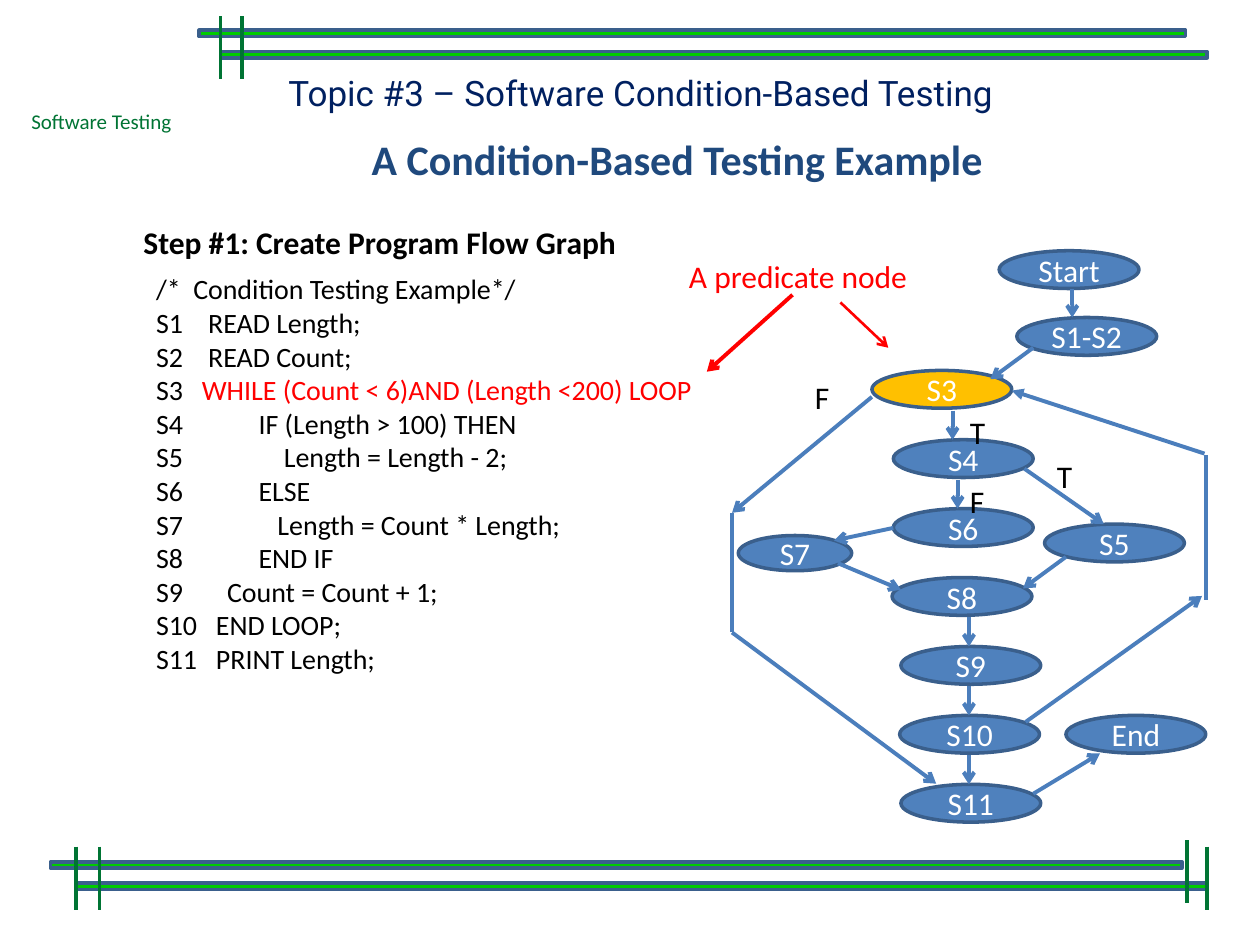
from lxml import etree
from pptx import Presentation
from pptx import util as u
from pptx.dml.color import RGBColor
from pptx.enum import shapes, text
from pptx.oxml import ns

COLUMNS, ROWS = 100, 75
WIDTH, HEIGHT = u.Inches(10), u.Inches(7.5)
GREEN, BAR_GREEN, OUTLINE = "007434", "00CC00", "3A5F8C"
NODE_BLUE, GOLD, FLOW_BLUE = "4F81BD", "FFC000", "4B7EBC"
RED, BLACK, WHITE, NAVY, HEADING = "FF0000", "000000", "FFFFFF", "002060", "1F497D"
NODE_WIDTH, NODE_HEIGHT, ARROW_DROP = 11.1, 3, 2.3

CODE = [
    "/*  Condition Testing Example*/",
    "S1    READ Length;",
    "S2    READ Count;",
    "S3   |WHILE (Count < 6)AND (Length <200) LOOP",
    "S4            IF (Length > 100) THEN",
    "S5                Length = Length - 2;",
    "S6            ELSE",
    "S7               Length = Count * Length;",
    "S8            END IF",
    "S9       Count = Count + 1;",
    "S10   END LOOP;",
    "S11   PRINT Length;",
]


def color(value):
    return RGBColor.from_string(value)


def x(columns):
    return round(WIDTH * columns / COLUMNS)


def y(rows):
    return round(HEIGHT * rows / ROWS)


def flow_row(step):
    return 34.9 + 5.47 * step


NODES = {
    "Start": (79.3, 19.9),
    "S1-S2": (80.7, 25.2),
    "S3": (69.2, 29.4),
    "S4": (70.9, flow_row(0)),
    "S5": (82.9, 41.6),
    "S6": (70.9, flow_row(1)),
    "S7": (58.6, 42.5),
    "S8": (70.8, flow_row(2)),
    "S9": (71.5, flow_row(3)),
    "S10": (71.4, flow_row(4)),
    "S11": (71.5, flow_row(5)),
    "End": (84.6, flow_row(4)),
}
DROPS = {"S1-S2": 85.1, "S4": 75.6, "S6": 76, "S9": 76.9, "S10": 76.9, "S11": 76.9}
BRANCHES = [
    ((82, 27.6), (78.6, 30.1), "arrow"),
    ((81.3, 37.2), (87.6, 41.6), "arrow"),
    ((70.9, 41.9), (66.2, 42.9), "arrow"),
    ((84.6, 44.2), (81.2, 46.7), "arrow"),
    ((66.5, 44.7), (71.5, 46.8), "arrow"),
    ((81.4, 57.3), (95.4, 47.3), "arrow"),
    ((95.7, 47.6), (95.7, 36.1), None),
    ((95.6, 36), (80.3, 31), "triangle"),
    ((69.2, 31.5), (58.1, 40.7), "arrow"),
    ((58.1, 50.2), (58.1, 40.7), None),
    ((58.1, 50.2), (74.3, 62.2), "arrow"),
    ((82, 63), (87.3, 59.8), "arrow"),
]


def add_line(slide, start, end, stroke, weight=2.25, head=None):
    line = slide.shapes.add_connector(
        shapes.MSO_CONNECTOR.STRAIGHT, x(start[0]), y(start[1]), x(end[0]), y(end[1]))
    line.line.color.rgb = color(stroke)
    line.line.width = u.Pt(weight)
    if head:
        outline = line.line._get_or_add_ln()
        etree.SubElement(outline, ns.qn("a:tailEnd"), type=head)
    etree.SubElement(line._element.spPr, ns.qn("a:effectLst"))


def add_preset(slide, preset, left, top, width, height, fill, outline=None):
    shape = slide.shapes.add_shape(preset, x(left), y(top), x(width), y(height))
    shape.shadow.inherit = False
    shape.fill.solid()
    shape.fill.fore_color.rgb = color(fill)
    if outline:
        shape.line.color.rgb = color(outline)
        shape.line.width = u.Pt(2)
    else:
        shape.line.fill.background()
    return shape


def style(paragraph, size, ink, face="Calibri", bold=False):
    paragraph.font.size = u.Pt(size)
    paragraph.font.name = face
    paragraph.font.bold = bold
    paragraph.font.color.rgb = color(ink)


def add_label(slide, wording, left, top, width, height, size, ink, bold=False):
    label = slide.shapes.add_textbox(x(left), y(top), x(width), y(height))
    label.text_frame.word_wrap = False
    label.text_frame.auto_size = text.MSO_AUTO_SIZE.SHAPE_TO_FIT_TEXT
    label.text_frame.text = wording
    style(label.text_frame.paragraphs[0], size, ink, bold=bold)


def add_bar(slide, left, top, width):
    add_preset(slide, shapes.MSO_SHAPE.FLOWCHART_PROCESS, left, top, width, 0.5,
               BAR_GREEN, OUTLINE)


def add_frame(slide):
    for left, top, width in [(15.8, 2.4, 78.3), (17.5, 4.1, 78.3),
                             (4, 68.4, 89.8), (6, 70.1, 89.8)]:
        add_bar(slide, left, top, width)
    for left, top in [(17.5, 1.3), (19.2, 1.3), (6, 67.2), (7.9, 67.2),
                      (95.8, 67.2), (94.2, 66.7)]:
        add_line(slide, (left, top), (left, top + 5), GREEN)


def add_titles(slide):
    topic = add_preset(slide, shapes.MSO_SHAPE.RECTANGLE, 21.9, 5.2, 66.5, 4.4, WHITE)
    frame = topic.text_frame
    frame.word_wrap = False
    frame.auto_size = text.MSO_AUTO_SIZE.SHAPE_TO_FIT_TEXT
    frame.vertical_anchor = text.MSO_ANCHOR.TOP
    frame.text = "Topic #3 – Software Condition-Based Testing"
    frame.paragraphs[0].alignment = text.PP_ALIGN.LEFT
    style(frame.paragraphs[0], 20, NAVY, "Roboto")

    heading = add_preset(slide, shapes.MSO_SHAPE.RECTANGLE, 19.9, 10.1, 67.7, 5.5, WHITE)
    frame = heading.text_frame
    frame.margin_left = frame.margin_right = x(1.6)
    frame.margin_top = frame.margin_bottom = y(1.6)
    frame.text = "A Condition-Based Testing Example"
    frame.paragraphs[0].alignment = text.PP_ALIGN.CENTER
    frame.paragraphs[0].line_spacing = 0.9
    style(frame.paragraphs[0], 24, HEADING, bold=True)


def add_code(slide):
    listing = slide.shapes.add_textbox(x(11.4), y(21.1), x(45.3), y(33.3))
    frame = listing.text_frame
    frame.word_wrap = True
    frame.auto_size = text.MSO_AUTO_SIZE.SHAPE_TO_FIT_TEXT
    for index, statement in enumerate(CODE):
        paragraph = frame.add_paragraph() if index else frame.paragraphs[0]
        plain, _, predicate = statement.partition("|")
        paragraph.add_run().text = plain
        style(paragraph, 16, BLACK)
        if predicate:
            run = paragraph.add_run()
            run.text = predicate
            run.font.color.rgb = color(RED)


def add_node(slide, name):
    left, top = NODES[name]
    width, height = (9, 2.8) if name == "S7" else (NODE_WIDTH, NODE_HEIGHT)
    node = add_preset(slide, shapes.MSO_SHAPE.OVAL, left, top, width, height,
                      GOLD if name == "S3" else NODE_BLUE, OUTLINE)
    node.text_frame.text = name
    node.text_frame.paragraphs[0].alignment = text.PP_ALIGN.CENTER
    style(node.text_frame.paragraphs[0], 18, WHITE)


def add_flow_graph(slide):
    for name in NODES:
        add_node(slide, name)
    for target, column in DROPS.items():
        top = NODES[target][1]
        add_line(slide, (column, top - ARROW_DROP), (column, top), FLOW_BLUE, head="arrow")
    for start, end, head in BRANCHES:
        add_line(slide, start, end, FLOW_BLUE, head=head)
    for outcome, left, top in [("T", 76, 32.3), ("T", 82.9, 35.8),
                               ("F", 76, 37.8), ("F", 63.7, 29.5)]:
        add_label(slide, outcome, left, top, 3.3, 2.9, 18, BLACK)


def main():
    deck = Presentation()
    deck.slide_width, deck.slide_height = WIDTH, HEIGHT
    slide = deck.slides.add_slide(deck.slide_layouts[6])
    add_label(slide, "Software Testing", 1.5, 8.1, 13.3, 3, 12, GREEN)
    add_frame(slide)
    add_titles(slide)
    add_code(slide)
    add_flow_graph(slide)
    add_label(slide, "Step #1: Create Program Flow Graph", 10.4, 17.2, 40.5, 4, 18, BLACK, True)
    add_label(slide, "A predicate node", 53.7, 19.9, 19.6, 4, 18, RED)
    add_line(slide, (66.7, 24), (70.5, 27.6), RED, 1.5, "arrow")
    add_line(slide, (62.9, 23.4), (56.1, 29.5), RED, head="arrow")
    deck.save("out.pptx")


if __name__ == "__main__":
    main()
